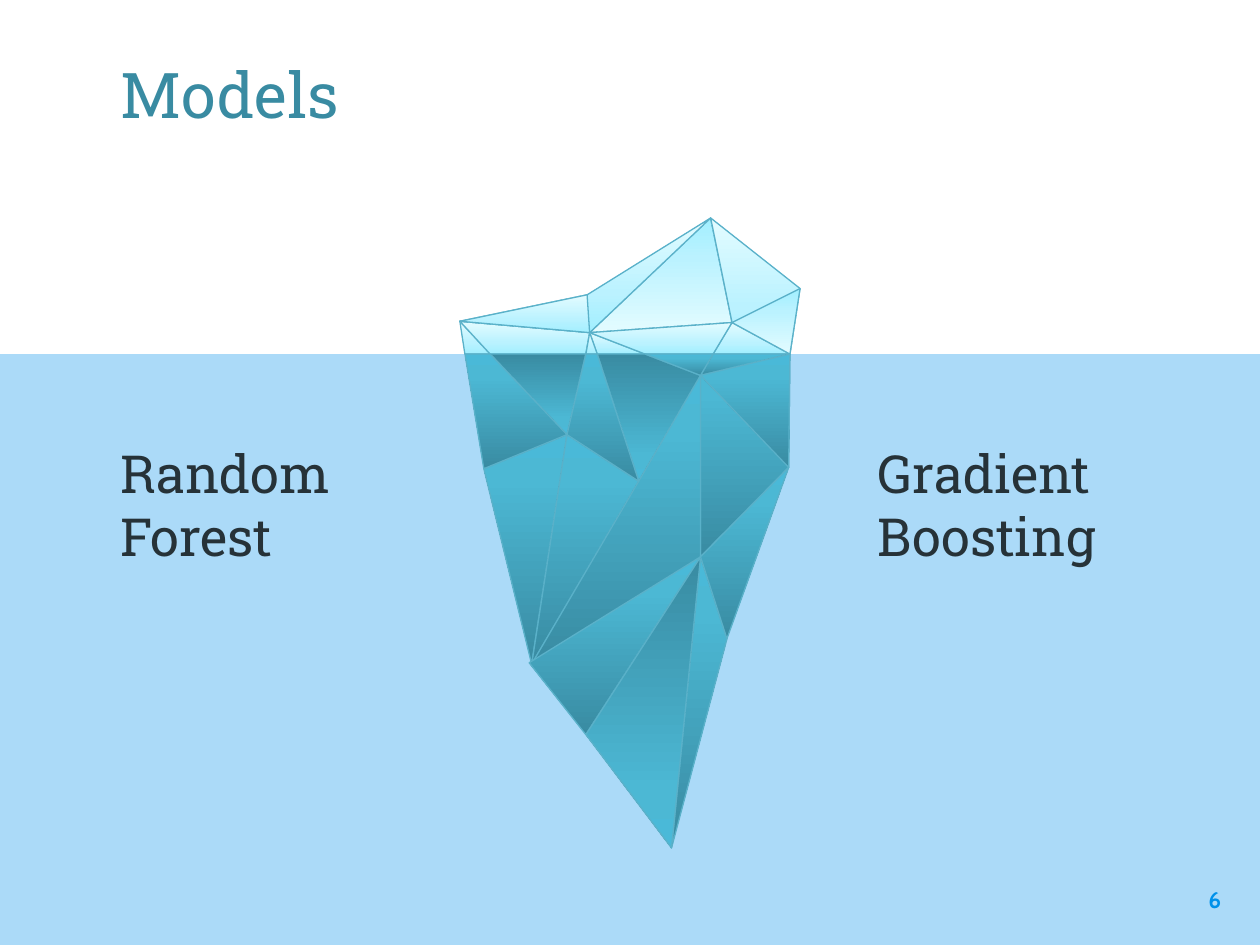
from copy import deepcopy
from dataclasses import dataclass

from lxml import etree
from pptx import Presentation
from pptx.dml.color import RGBColor
from pptx.enum import shapes, text
from pptx.oxml.ns import qn
from pptx.util import Inches, Pt


@dataclass(frozen=True)
class Theme:
    head: str = "398BA2"
    ink: str = "263238"
    sea: str = "0091EA"
    edge: str = "5AB1C9"
    ice: tuple = ((0, "A1EFFF"), (0.35, "BBF2FF"), (1, "E3FCFF"))
    deep: tuple = ((0, "398BA2"), (0.8, "4CB8D4"), (1, "4AB9D8"))
    serif: str = "Roboto Slab"
    sans: str = "Cabin"
    title: int = 36
    body: int = 30
    small: int = 13


# Corners of the iceberg, in inches
WATER = 2.81
CORNERS = {
    "a": (3.65, 2.55), "b": (4.66, 2.34), "c": (4.68, 2.64),
    "d": (5.64, 1.73), "e": (5.81, 2.56), "f": (6.35, 2.29),
    "n": (4.5, 3.45), "o": (3.84, 3.72), "p": (5.07, 3.82),
    "q": (5.56, 2.98), "r": (6.26, 3.71), "s": (5.56, 4.42),
    "t": (4.22, 5.27), "u": (4.65, 5.83), "v": (5.33, 6.73),
    "w": (5.77, 5.07), "x": (4.2, 5.26),
}
CORNERS.update(zip("ghijklm", ((x, WATER) for x in
                               (3.69, 3.89, 4.65, 4.74, 5.12, 5.66, 6.27))))

# Facets by corner, back to front; those in DOWN shade from the top
TIP = "mah dce dfme ahg ciha dcab eml jck bca fem jci celk".split()
BASE = ("mrsq nto inh swv mql pjkq pnt qts hnog mqr npji "
        "xsu uvs rws qlk").split()
DOWN = {"dce", "fem", "inh", "pjkq", "uvs"}


def write(frame, words, font, size, color, bold=False, align=None,
          anchor=text.MSO_ANCHOR.TOP, pad=(0.1, 0.05, 0.1, 0.05)):
    frame.word_wrap = True
    frame.auto_size = text.MSO_AUTO_SIZE.NONE
    frame.vertical_anchor = anchor
    (frame.margin_left, frame.margin_top,
     frame.margin_right, frame.margin_bottom) = map(Inches, pad)
    para = frame.paragraphs[0]
    para.alignment = align or text.PP_ALIGN.LEFT
    run = para.add_run()
    run.text = words
    run.font.name = font
    run.font.size = Pt(size)
    run.font.bold = bold
    run.font.color.rgb = RGBColor.from_string(color)


class Deck:
    def __init__(self, theme):
        self.theme = theme
        self.file = Presentation()
        self.file.slide_width = Inches(10)
        self.file.slide_height = Inches(7.5)
        self.slide = self.file.slides.add_slide(self.file.slide_layouts[5])

    def title(self, words, box, **form):
        head = self.slide.shapes.title
        head.left, head.top, head.width, head.height = map(Inches, box)
        write(head.text_frame, words, **form)

    def label(self, words, box, **form):
        shape = self.slide.shapes.add_textbox(*map(Inches, box))
        write(shape.text_frame, words, **form)

    def band(self, box, color, alpha):
        shape = self.slide.shapes.add_shape(
            shapes.MSO_SHAPE.RECTANGLE, *map(Inches, box))
        shape.shadow.inherit = False
        shape.line.fill.background()
        shape.fill.solid()
        shape.fill.fore_color.rgb = RGBColor.from_string(color)
        tint = next(shape._element.spPr.iter(qn("a:srgbClr")))
        etree.SubElement(tint, qn("a:alpha"), val=str(alpha * 1000))

    def facet(self, points, stops, down):
        start, *rest = [(Inches(x), Inches(y)) for x, y in points]
        pen = self.slide.shapes.build_freeform(*start)
        pen.add_line_segments(rest, close=True)
        shape = pen.convert_to_shape()
        shape.shadow.inherit = False
        shape.line.color.rgb = RGBColor.from_string(self.theme.edge)
        shape.line.width = Pt(0.75)
        fill = shape.fill
        fill.gradient()
        fill.gradient_angle = 270 if down else 90
        # A new gradient has two stops; add the third
        ramp = next(shape._element.spPr.iter(qn("a:gsLst")))
        ramp.append(deepcopy(ramp[-1]))
        for stop, (place, color) in zip(fill.gradient_stops, stops):
            stop.position = place
            stop.color.rgb = RGBColor.from_string(color)


def main():
    look = Theme()
    deck = Deck(look)

    # Sea
    deck.band((0, WATER, 10, 7.5 - WATER), look.sea, 33)

    # Iceberg
    for names, stops in ((TIP, look.ice), (BASE, look.deep)):
        for name in names:
            deck.facet([CORNERS[key] for key in name], stops, name in DOWN)

    # Model names
    body = dict(font=look.serif, size=look.body, color=look.ink)
    deck.label("Random Forest", (0.86, 3.45, 2.79, 3.53), **body)
    deck.label("Gradient Boosting", (6.87, 3.45, 2.44, 3.53), **body)

    # Page number and title
    deck.label("6", (9.19, 6.93, 0.6, 0.57), font=look.sans, size=look.small,
               color=look.sea, bold=True, align=text.PP_ALIGN.RIGHT,
               pad=(0.1, 0.1, 0.1, 0.1))
    deck.title("Models", (0.86, 0.45, 8.28, 1.02), font=look.serif,
               size=look.title, color=look.head,
               anchor=text.MSO_ANCHOR.BOTTOM, pad=(0.1, 0, 0.1, 0.43))

    deck.file.save("out.pptx")


if __name__ == "__main__":
    main()
